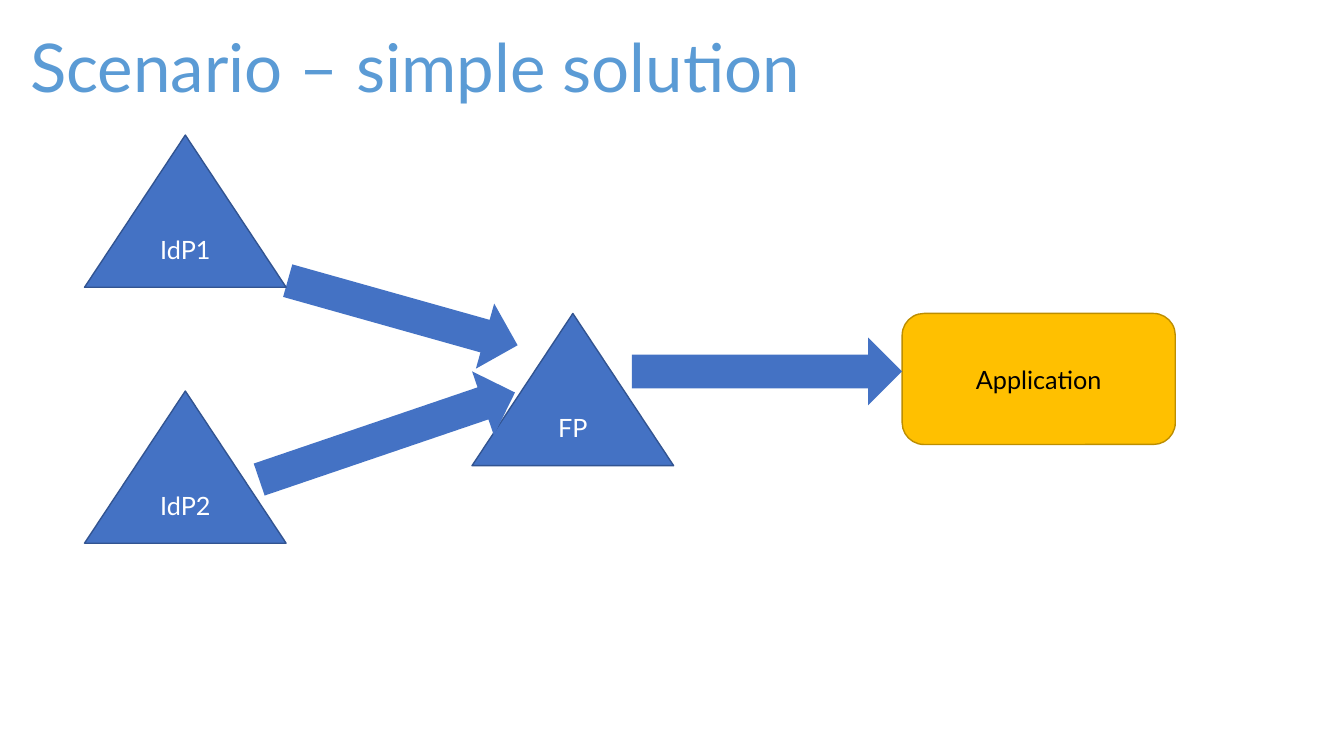
import pptx
import pptx.dml.color
import pptx.enum.shapes
import pptx.enum.text
import pptx.shapes.autoshape
import pptx.slide
import pptx.text.text
import pptx.util
from dataclasses import dataclass

COLORS = {
    "title": "5B9BD5",
    "blue": "4472C4",
    "blue_edge": "325491",
    "gold": "FFC000",
    "gold_edge": "BD8E00",
    "white": "FFFFFF",
    "black": "000000",
}
FONT = "Lato"
LABEL_SIZE = 18
TRIANGLE_WIDTH, TRIANGLE_HEIGHT = 144, 108.7
ARROW_HEIGHT = 48.3
ShapeType = pptx.enum.shapes.MSO_SHAPE


@dataclass
class Node:
    label: str
    left: float
    top: float
    width: float = TRIANGLE_WIDTH
    height: float = TRIANGLE_HEIGHT
    kind: ShapeType = ShapeType.ISOSCELES_TRIANGLE
    fill: str = "blue"
    edge: str = "blue_edge"
    ink: str = "white"


@dataclass
class Arrow:
    left: float
    top: float
    width: float
    rotation: float = 0


DIAGRAM = [
    Node("Application", 644.4, 223.9, 195.1, 93.6,
         ShapeType.ROUNDED_RECTANGLE, "gold", "gold_edge", "black"),
    Arrow(202.3, 199.4, 170.6, 15.7),
    Node("IdP1", 60.4, 96.5),
    Node("FP", 337.2, 223.9),
    Arrow(451.3, 241.2, 193),
    Node("IdP2", 60.4, 279.3),
    Arrow(180, 287.3, 193, 341.2),
]


def color(name: str) -> pptx.dml.color.RGBColor:
    return pptx.dml.color.RGBColor.from_string(COLORS[name])


def style_text(para: pptx.text.text._Paragraph, size: float, ink: str) -> None:
    para.font.name = FONT
    para.font.size = pptx.util.Pt(size)
    para.font.color.rgb = color(ink)


def add_filled_shape(
    slide: pptx.slide.Slide, kind: ShapeType, left: float, top: float,
    width: float, height: float, fill: str,
) -> pptx.shapes.autoshape.Shape:
    shape = slide.shapes.add_shape(
        kind, *(pptx.util.Pt(length) for length in (left, top, width, height))
    )
    shape.shadow.inherit = False
    shape.fill.solid()
    shape.fill.fore_color.rgb = color(fill)
    return shape


def draw_node(slide: pptx.slide.Slide, node: Node) -> None:
    shape = add_filled_shape(
        slide, node.kind, node.left, node.top, node.width, node.height, node.fill
    )
    shape.line.color.rgb = color(node.edge)
    shape.line.width = pptx.util.Pt(1)
    frame = shape.text_frame
    frame.text = node.label
    frame.vertical_anchor = pptx.enum.text.MSO_ANCHOR.MIDDLE
    para = frame.paragraphs[0]
    para.alignment = pptx.enum.text.PP_ALIGN.CENTER
    style_text(para, LABEL_SIZE, node.ink)


def draw_arrow(slide: pptx.slide.Slide, arrow: Arrow) -> None:
    shape = add_filled_shape(
        slide, ShapeType.RIGHT_ARROW, arrow.left, arrow.top,
        arrow.width, ARROW_HEIGHT, "blue"
    )
    shape.line.fill.background()
    shape.rotation = arrow.rotation


def draw_title(slide: pptx.slide.Slide, text: str) -> None:
    box = slide.shapes.add_textbox(
        *(pptx.util.Pt(length) for length in (14.4, 14.4, 935.3, 72))
    )
    frame = box.text_frame
    frame.word_wrap = True
    frame.vertical_anchor = pptx.enum.text.MSO_ANCHOR.MIDDLE
    frame.text = text
    para = frame.paragraphs[0]
    para.line_spacing = 0.9
    style_text(para, 48, "title")


def main() -> None:
    deck = pptx.Presentation()
    deck.slide_width = pptx.util.Pt(960)
    deck.slide_height = pptx.util.Pt(540)
    slide = deck.slides.add_slide(deck.slide_layouts[6])
    draw_title(slide, "Scenario – simple solution")
    for item in DIAGRAM:
        if isinstance(item, Node):
            draw_node(slide, item)
        else:
            draw_arrow(slide, item)
    deck.save("out.pptx")


if __name__ == "__main__":
    main()
